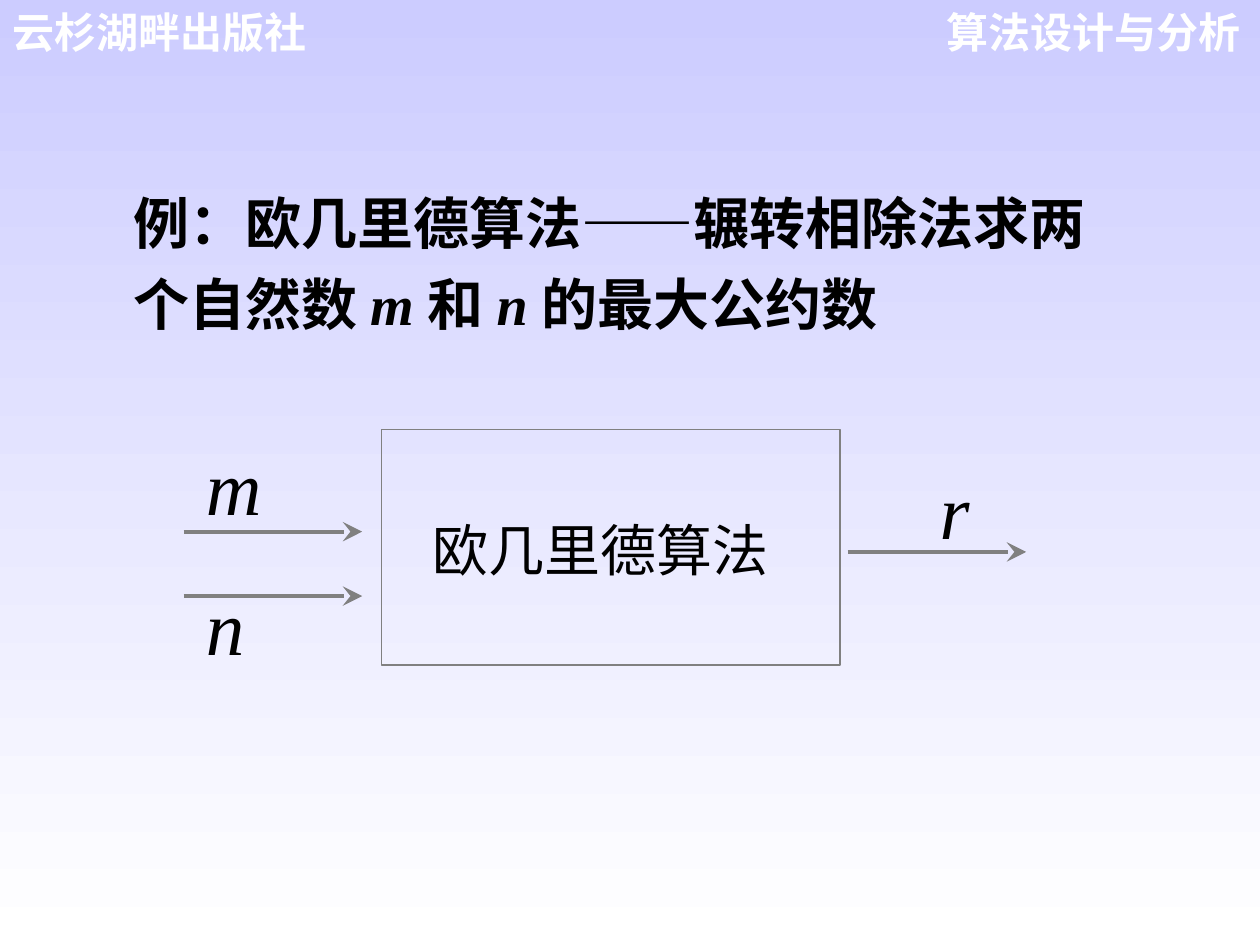
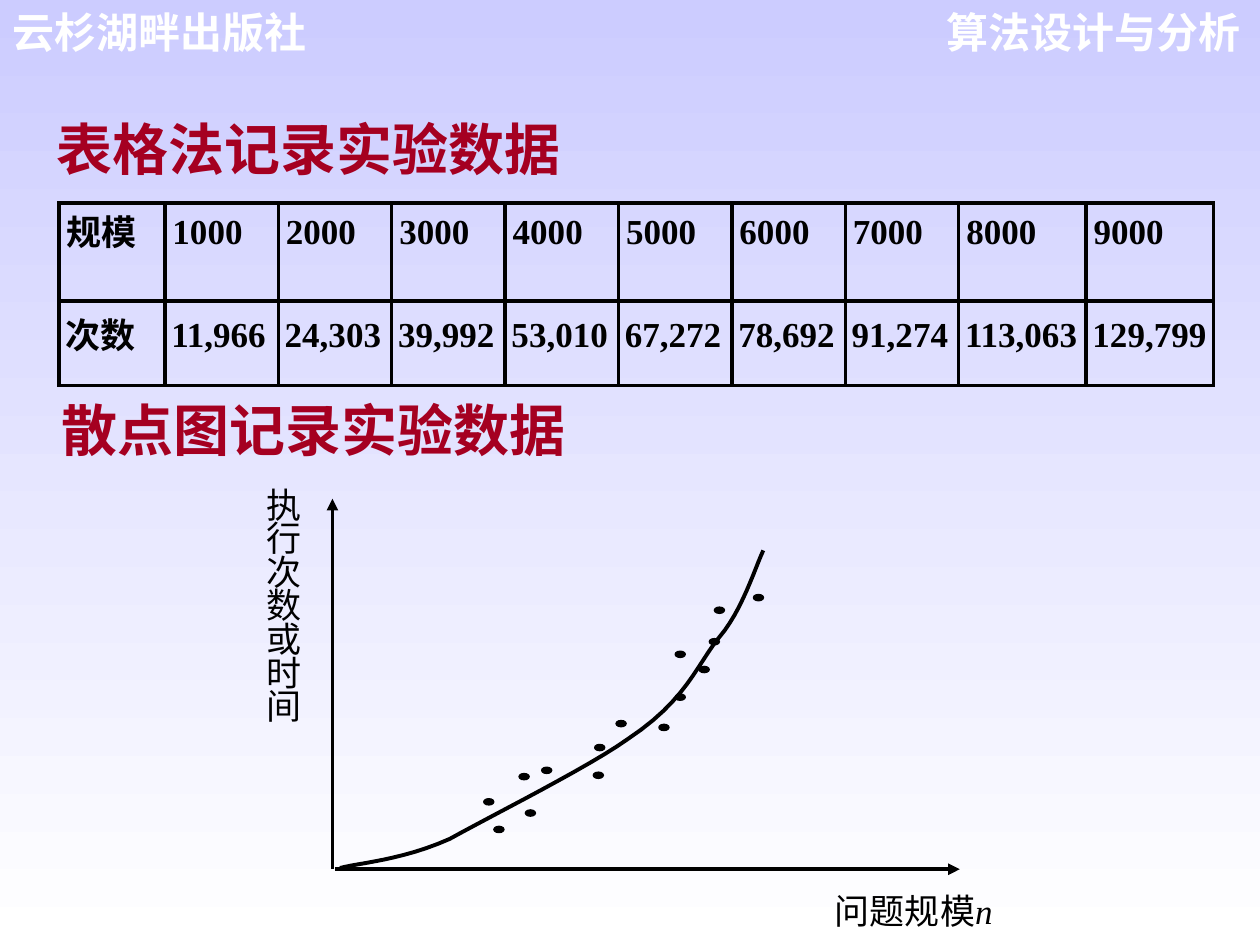
"""Builds two algorithm slides: Euclid's algorithm and recorded measurements."""
from itertools import chain

from lxml.etree import SubElement
from pptx import Presentation
from pptx.dml.color import RGBColor
from pptx.enum.shapes import MSO_CONNECTOR as Connector, MSO_SHAPE as Shape
from pptx.enum.text import MSO_ANCHOR as Anchor, PP_ALIGN as Align
from pptx.oxml.ns import qn
from pptx.util import Pt

COLORS = {"sky": "CCCCFF", "white": "FFFFFF", "black": "000000",
          "gray": "808080", "crimson": "A50021"}
SANS, SERIF = "Arial", "Times New Roman"
SLIDE_WIDTH, SLIDE_HEIGHT = 720, 540

SIZES = ["规模"] + [str(1000 * step) for step in range(1, 10)]
COUNTS = ["次数", "11,966", "24,303", "39,992", "53,010", "67,272",
          "78,692", "91,274", "113,063", "129,799"]
COLUMN_WIDTHS = [60.5] + [64.8] * 7 + [72.8] * 2
ROW_HEIGHTS = [56.2, 48.2]
ROW_MARGINS = [(4.3, 1.2), (3.6, 3.8)]
NUMBER_DROP = 4.8

DOTS = [(92.2, 187.2), (86.4, 171.4), (162, 126.7), (110.2, 177.8), (149, 156.2),
        (186.5, 128.9), (195.8, 111.6), (195.8, 87.1), (218.2, 61.9), (240.5, 54.7),
        (215.3, 79.9), (209.5, 95.8), (119.5, 153.4), (106.6, 157), (149.8, 140.4)]
TREND_START = (4.3, 211)
TREND_BENDS = [((15.1, 208.1), (39.6, 206.6), (67, 194.4)),
               ((94.3, 179.3), (146.2, 153.4), (168.5, 137.5)),
               ((202.3, 115.2), (208.1, 95), (221, 79.2)),
               ((234, 64.1), (241.2, 40.3), (246.2, 29.5))]


def color(name):
    return RGBColor.from_string(COLORS[name])


def points(*lengths):
    return [Pt(length) for length in lengths]


def style_font(font, size, name=SANS, ink="black", bold=False, italic=False):
    font.size, font.name, font.bold, font.italic = Pt(size), name, bold, italic
    font.color.rgb = color(ink)


def add_text(slide, box, text, size, align=Align.LEFT, anchor=Anchor.TOP, **style):
    """Adds a wrapped text box, one paragraph for each line, and returns its frame."""
    frame = slide.shapes.add_textbox(*points(*box)).text_frame
    frame.word_wrap, frame.vertical_anchor = True, anchor
    frame.text = text
    for paragraph in frame.paragraphs:
        paragraph.alignment = align
        style_font(paragraph.font, size, **style)
    return frame


def add_run(paragraph, text, size, **style):
    run = paragraph.add_run()
    run.text = text
    style_font(run.font, size, **style)


def add_arrow(slide, start, end, ink, head, head_size="med"):
    connector = slide.shapes.add_connector(Connector.STRAIGHT, *points(*start, *end))
    connector.line.color.rgb, connector.line.width = color(ink), Pt(2.25)
    SubElement(connector.line._get_or_add_ln(), qn("a:tailEnd"),
               type=head, w=head_size, len=head_size)
    SubElement(connector._element.spPr, qn("a:effectLst"))


def add_slide(presentation):
    """Adds a blank slide with the shared gradient and header."""
    slide = presentation.slides.add_slide(presentation.slide_layouts[6])
    fill = slide.background.fill
    fill.gradient()
    fill.gradient_angle = 270
    for stop, name, position in zip(fill.gradient_stops, ("sky", "white"), (0, 1)):
        stop.color.rgb, stop.position = color(name), position
    header = dict(size=24, ink="white", bold=True)
    add_text(slide, (521, 0, 195, 36), "算法设计与分析", align=Align.RIGHT, **header)
    add_text(slide, (0, 0, 195, 36), "云杉湖畔出版社", **header)
    return slide


def add_example(slide, box):
    """Adds the statement of the example with its italic variables."""
    paragraph = add_text(slide, box, "", 32, bold=True).paragraphs[0]
    paragraph.line_spacing = 1.2
    for text, is_variable in [("例：欧几里德算法——辗转相除法求两个自然数 ", False),
                              ("m ", True), ("和 ", False), ("n ", True),
                              ("的最大公约数", False)]:
        add_run(paragraph, text, 32, name=SERIF if is_variable else SANS,
                bold=True, italic=is_variable)


def add_process(slide, box):
    """Adds the algorithm block with its two inputs and one output."""
    left, top, width, height = box
    block = slide.shapes.add_shape(Shape.RECTANGLE,
                                   *points(left + 113, top, 262, height))
    block.shadow.inherit = False
    block.fill.background()
    block.line.color.rgb, block.line.width = color("gray"), Pt(0.75)
    frame = block.text_frame
    frame.vertical_anchor = Anchor.MIDDLE
    frame.margin_left, frame.margin_top = points(29, 6)
    frame.text = "欧几里德算法"
    frame.paragraphs[0].alignment = Align.LEFT
    style_font(frame.paragraphs[0].font, 32, SERIF)
    arrow_length = 102
    output_x = width - arrow_length
    for name, arrow_x, arrow_y, label_x, label_y in [
            ("m", 0, 58.3, 5.5, 1.6), ("n", 0, 95.1, 5.5, 81.4),
            ("r", output_x, 69.9, output_x + 45.4, 15.1)]:
        start = left + arrow_x, top + arrow_y
        add_arrow(slide, start, (start[0] + arrow_length, start[1]),
                  "gray", "stealth", "lg")
        add_text(slide, (left + label_x, top + label_y, 57, 60.5), name, 44,
                 name=SERIF, italic=True)


def add_heading(slide, box, text):
    add_text(slide, box, text, 32, anchor=Anchor.MIDDLE, ink="crimson", bold=True)


def add_cell_borders(cell):
    properties = cell._tc.get_or_add_tcPr()
    for position, side in enumerate(("lnL", "lnR", "lnT", "lnB")):
        line = properties.makeelement(qn(f"a:{side}"), {"w": str(Pt(2.25))})
        solid = SubElement(line, qn("a:solidFill"))
        SubElement(solid, qn("a:srgbClr"), val=COLORS["black"])
        properties.insert(position, line)


def add_measurements(slide, box):
    """Adds the table of problem sizes and operation counts."""
    table = slide.shapes.add_table(2, len(SIZES), *points(*box)).table
    table.first_row = table.horz_banding = False
    for column, width in zip(table.columns, COLUMN_WIDTHS):
        column.width = Pt(width)
    for row, height, values, (margin_left, margin_top) in zip(
            table.rows, ROW_HEIGHTS, (SIZES, COUNTS), ROW_MARGINS):
        row.height = Pt(height)
        for index, (cell, value) in enumerate(zip(row.cells, values)):
            cell.fill.background()
            add_cell_borders(cell)
            cell.margin_left = Pt(margin_left)
            cell.margin_top = Pt(margin_top + (NUMBER_DROP if index else 0))
            cell.margin_right = cell.margin_bottom = 0
            cell.text = value
            style_font(cell.text_frame.paragraphs[0].font, 20, SERIF, bold=True)


def trend_points(steps=12):
    """Yields points along the joined cubic bends of the trend."""
    start = TREND_START
    for bend in TREND_BENDS:
        for step in range(1, steps + 1):
            t = step / steps
            weights = ((1 - t) ** 3, 3 * t * (1 - t) ** 2, 3 * t * t * (1 - t), t ** 3)
            yield tuple(sum(weight * value for weight, value in zip(weights, values))
                        for values in zip(start, *bend))
        start = bend[-1]


def add_scatter(slide, box):
    """Adds the sketched scatter diagram with axes, dots and trend."""
    left, top, width, height = box
    bottom = top + height
    add_arrow(slide, (left + 1.5, bottom), (left + width, bottom), "black", "triangle")
    add_arrow(slide, (left, bottom), (left, top), "black", "triangle")
    frame = add_text(slide, (left - 37.4, top - 4.3, 25, height),
                     "\n".join("执行次数或时间"), 20)
    frame.margin_left = frame.margin_right = frame.margin_top = frame.margin_bottom = 0
    for paragraph in frame.paragraphs:
        paragraph.line_spacing = 0.8
    for x, y in DOTS:
        dot = slide.shapes.add_shape(Shape.OVAL, *points(left + x, top + y, 5.8, 3.6))
        dot.shadow.inherit = False
        dot.fill.solid()
        dot.fill.fore_color.rgb = dot.line.color.rgb = color("black")
        dot.line.width = Pt(0.75)
    start, *others = [points(left + x, top + y)
                      for x, y in chain([TREND_START], trend_points())]
    builder = slide.shapes.build_freeform(*start)
    builder.add_line_segments(others, close=False)
    trend = builder.convert_to_shape()
    trend.shadow.inherit = False
    trend.fill.background()
    trend.line.color.rgb, trend.line.width = color("black"), Pt(2.25)
    caption = add_text(slide, (left + 280, bottom + 7.9, 127, 32), "", 20).paragraphs[0]
    add_run(caption, "问题规模", 20)
    add_run(caption, "n", 20, name=SERIF, italic=True)


def main():
    presentation = Presentation()
    presentation.slide_width, presentation.slide_height = points(SLIDE_WIDTH, SLIDE_HEIGHT)

    euclid = add_slide(presentation)
    add_process(euclid, (105, 245.5, 481.4, 134.6))
    add_example(euclid, (69, 96.5, 572.4, 99.4))

    experiment = add_slide(presentation)
    add_heading(experiment, (25.2, 61.5, 309.6, 46), "表格法记录实验数据")
    add_measurements(experiment, (33.8, 115.9, sum(COLUMN_WIDTHS), sum(ROW_HEIGHTS)))
    add_heading(experiment, (28, 222, 309.6, 46), "散点图记录实验数据")
    add_scatter(experiment, (190, 285, 358.5, 211.7))

    presentation.save("out.pptx")


if __name__ == "__main__":
    main()
